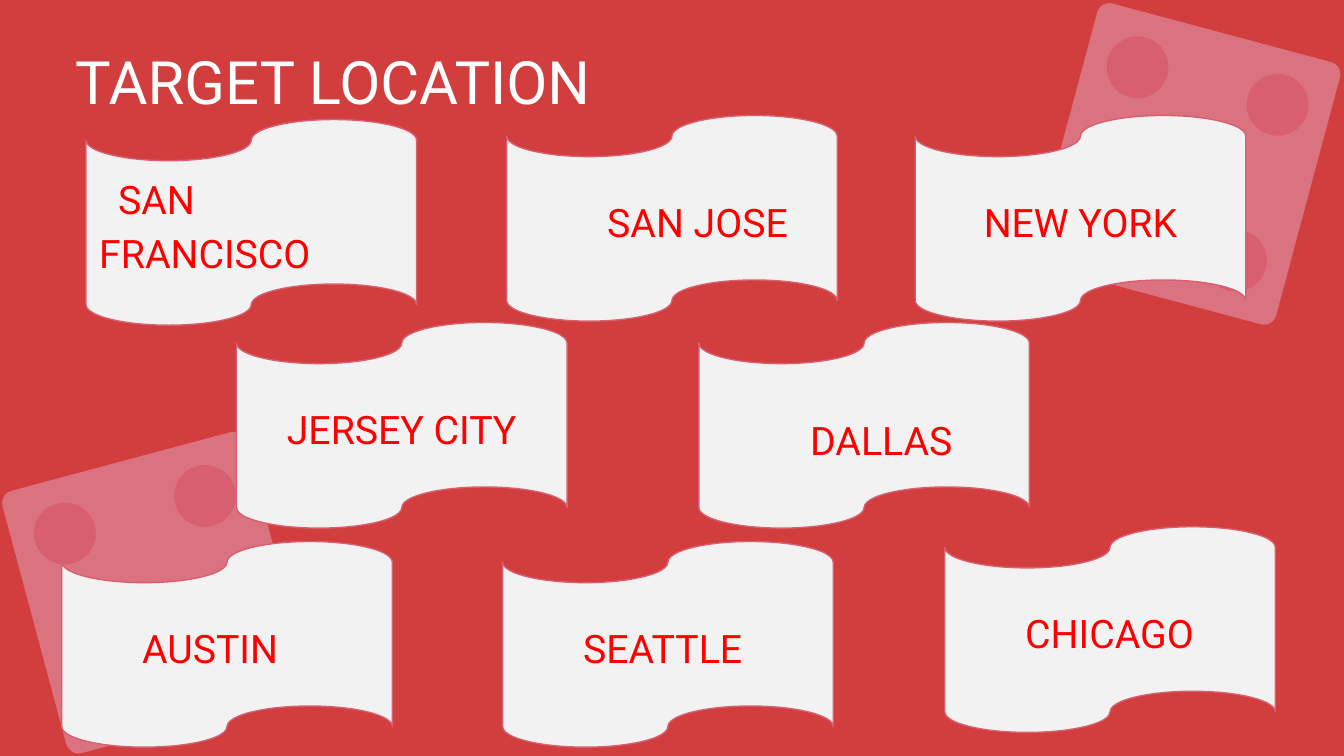
"""Build the target location slide: city names on punched tapes over two dice."""
from dataclasses import dataclass
from itertools import product
from math import cos, radians, sin

from pptx import Presentation
from pptx.dml.color import RGBColor
from pptx.enum.shapes import MSO_SHAPE
from pptx.enum.text import MSO_ANCHOR, MSO_AUTO_SIZE, PP_ALIGN
from pptx.util import Inches, Pt


@dataclass(frozen=True)
class Theme:
    font: str = "Roboto"
    background: str = "D23D3D"
    die: str = "DA7280"
    pip: str = "D85F6F"
    tape: str = "F2F2F2"
    city: str = "FF0000"
    title: str = "FFFFFF"
    title_size: int = 32
    city_size: int = 21


THEME = Theme()
SLIDE_WIDTH = 10
SLIDE_SIZE = (SLIDE_WIDTH, SLIDE_WIDTH * 9 / 16)
TITLE = "TARGET LOCATION"
TITLE_BOX = (0.46, 0.34, 8.41, 0.52)
INSET = 0.1

TAPE_SIZE = (2.46, 1.53)
TAPE_ROWS = [
    {"top": 0.86, "cities": [
        {"name": "SAN FRANCISCO", "left": 0.64, "indent": 0.14, "shift": 0.03},
        {"name": "SAN JOSE", "left": 3.77, "indent": 0.65},
        {"name": "NEW YORK", "left": 6.81},
    ]},
    {"top": 2.4, "cities": [
        {"name": "JERSEY CITY", "left": 1.76},
        {"name": "DALLAS", "left": 5.2, "indent": 0.73, "drop": 0.16},
    ]},
    {"top": 4.03, "cities": [
        {"name": "AUSTIN", "left": 0.46, "indent": 0.5},
        {"name": "SEATTLE", "left": 3.74, "indent": 0.5},
        {"name": "CHICAGO", "left": 7.03, "indent": 0.5, "shift": -0.11},
    ]},
]

DIE_SIZE = (1.87, 2.02)
PIP_SIZE = (0.46, 0.46)
CORNER_PIPS = list(product((-0.54, 0.54), (-0.6, 0.6)))
DICE = [
    {"center": (8.83, 1.22), "angle": 15, "pips": CORNER_PIPS + [(0, 0)]},
    {"center": (1.16, 4.41), "angle": -15, "pips": CORNER_PIPS},
]


def add_filled_shape(slide, kind, left, top, size, color):
    shape = slide.shapes.add_shape(kind, *map(Inches, (left, top, *size)))
    shape.shadow.inherit = False
    shape.fill.solid()
    shape.fill.fore_color.rgb = RGBColor.from_string(color)
    shape.line.fill.background()
    return shape


def add_centered_shape(slide, kind, center, size, angle, color):
    left, top = (middle - length / 2 for middle, length in zip(center, size))
    shape = add_filled_shape(slide, kind, left, top, size, color)
    shape.rotation = angle
    return shape


def add_die(slide, center, angle, pips):
    body = add_centered_shape(slide, MSO_SHAPE.ROUNDED_RECTANGLE, center, DIE_SIZE, angle, THEME.die)
    body.adjustments[0] = 0.05
    cosine, sine = cos(radians(angle)), sin(radians(angle))
    for across, down in pips:
        pip_center = (center[0] + across * cosine - down * sine,
                      center[1] + across * sine + down * cosine)
        add_centered_shape(slide, MSO_SHAPE.OVAL, pip_center, PIP_SIZE, angle, THEME.pip)


def set_text(shape, text, size, color, drop=0):
    text_frame = shape.text_frame
    text_frame.text = text
    text_frame.word_wrap = True
    text_frame.auto_size = MSO_AUTO_SIZE.NONE
    text_frame.vertical_anchor = MSO_ANCHOR.MIDDLE
    text_frame.margin_left = text_frame.margin_right = text_frame.margin_bottom = Inches(INSET)
    text_frame.margin_top = Inches(INSET + drop)
    paragraph = text_frame.paragraphs[0]
    paragraph.alignment = PP_ALIGN.LEFT
    font = paragraph.runs[0].font
    font.name, font.size = THEME.font, Pt(size)
    font.color.rgb = RGBColor.from_string(color)
    return paragraph


def add_tape(slide, row_top, name, left, indent=None, shift=0, drop=0):
    tape = add_filled_shape(slide, MSO_SHAPE.FLOWCHART_PUNCHED_TAPE,
                            left, row_top + shift, TAPE_SIZE, THEME.tape)
    tape.line.color.rgb = RGBColor.from_string(THEME.pip)
    tape.line.width = Pt(0.75)
    paragraph = set_text(tape, name, THEME.city_size, THEME.city, drop)
    paragraph.line_spacing = 1.15
    paragraph.space_after = Pt(16)
    if indent is None:
        paragraph.alignment = PP_ALIGN.CENTER
    else:
        properties = paragraph._p.get_or_add_pPr()
        properties.set("marL", "0")
        properties.set("indent", str(Inches(indent)))


def main():
    presentation = Presentation()
    presentation.slide_width, presentation.slide_height = map(Inches, SLIDE_SIZE)
    slide = presentation.slides.add_slide(presentation.slide_layouts[5])
    slide.background.fill.solid()
    slide.background.fill.fore_color.rgb = RGBColor.from_string(THEME.background)
    title = slide.shapes.title
    title.left, title.top, title.width, title.height = map(Inches, TITLE_BOX)
    set_text(title, TITLE, THEME.title_size, THEME.title)
    for die in DICE:
        add_die(slide, **die)
    for row in TAPE_ROWS:
        for city in row["cities"]:
            add_tape(slide, row["top"], **city)
    presentation.save("out.pptx")


if __name__ == "__main__":
    main()
